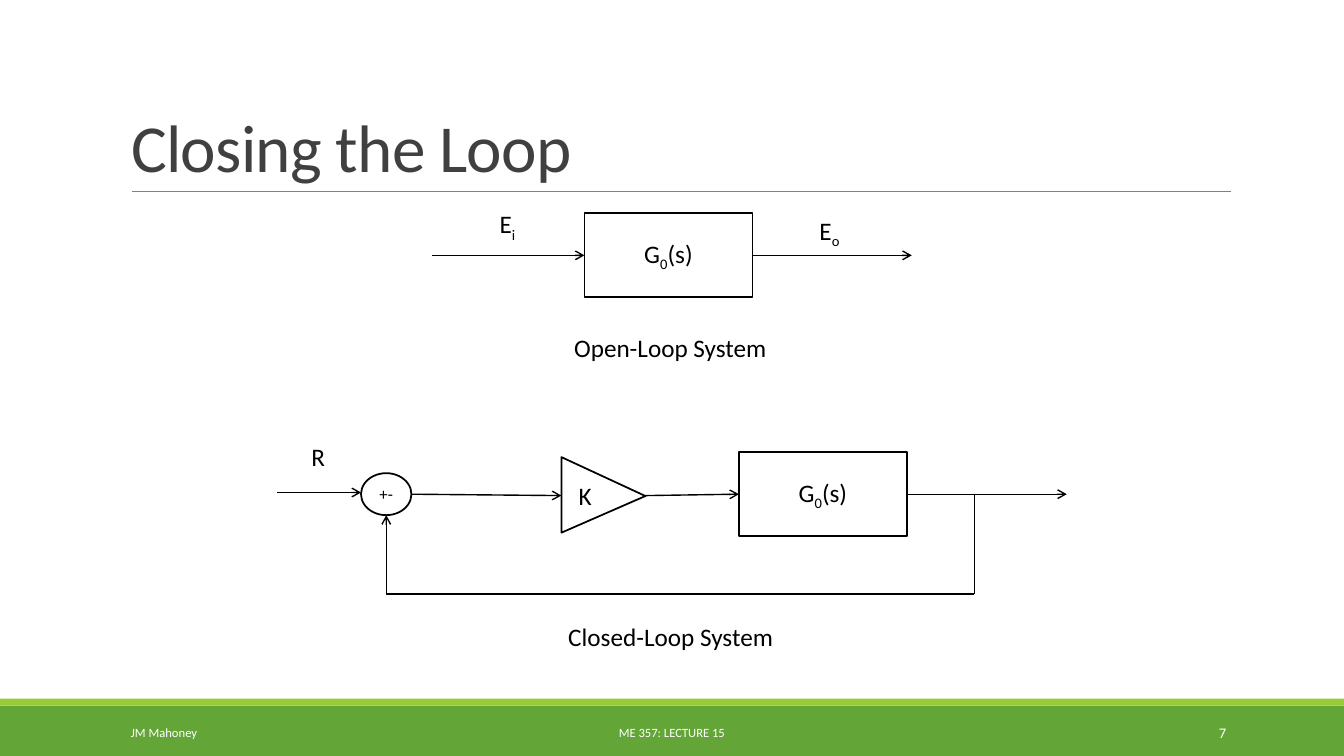
from dataclasses import dataclass

from lxml import etree
from pptx import Presentation
from pptx.dml.color import RGBColor
from pptx.enum.shapes import MSO_CONNECTOR, MSO_SHAPE
from pptx.enum.text import MSO_ANCHOR, MSO_AUTO_SIZE, PP_ALIGN
from pptx.oxml.ns import qn
from pptx.util import Pt

RECT, PROCESS = MSO_SHAPE.RECTANGLE, MSO_SHAPE.FLOWCHART_PROCESS
CIRCLE, GAIN = MSO_SHAPE.FLOWCHART_CONNECTOR, MSO_SHAPE.ISOSCELES_TRIANGLE
STRAIGHT = MSO_CONNECTOR.STRAIGHT
TOP, MIDDLE, BOTTOM = MSO_ANCHOR.TOP, MSO_ANCHOR.MIDDLE, MSO_ANCHOR.BOTTOM
LEFT, CENTER, RIGHT = PP_ALIGN.LEFT, PP_ALIGN.CENTER, PP_ALIGN.RIGHT
NO_FIT = MSO_AUTO_SIZE.NONE


@dataclass(frozen=True)
class Theme:
    font: str = "Calibri"
    ink: str = "000000"
    head: str = "404040"
    rule: str = "808080"
    band: str = "63A537"
    strip: str = "99CB38"
    light: str = "FFFFFF"
    head_size: float = 48
    text_size: float = 18
    sign_size: float = 12
    page_size: float = 10.5
    foot_size: float = 9
    edge: float = 1.25
    wire: float = 1
    hair: float = 0.5


@dataclass(frozen=True)
class Block:
    kind: int
    left: float
    top: float
    width: float
    height: float
    text: str = ""
    size: float = 18
    turn: float = 0


@dataclass(frozen=True)
class Wire:
    x1: float
    y1: float
    x2: float
    y2: float
    arrow: bool = True


@dataclass(frozen=True)
class Label:
    text: str
    left: float
    top: float
    width: float


@dataclass(frozen=True)
class Foot:
    text: str
    left: float
    width: float
    size: float
    align: int


THEME = Theme()
BOX_W, BOX_H = 120, 60
OPEN_X, OPEN_Y = 417.5, 182.4
LOOP_X, LOOP_Y = 527.8, 353
SUM_X, TAP_X, BACK_Y = 275.9, 696, 424.2
FOOT_TOP, LINE_H = 508.5, 29

BLOCKS = [
    Block(PROCESS, OPEN_X, OPEN_Y - BOX_H / 2, BOX_W, BOX_H, "G_0_(s)"),
    Block(PROCESS, LOOP_X, LOOP_Y - BOX_H / 2, BOX_W, BOX_H, "G_0_(s)"),
    Block(CIRCLE, SUM_X - 18, LOOP_Y - 15, 36, 30, "+-", THEME.sign_size),
    Block(GAIN, 404, 323.5, 54, 60, turn=90),
]
WIRES = [
    Wire(308.7, OPEN_Y, OPEN_X, OPEN_Y),
    Wire(OPEN_X + BOX_W, OPEN_Y, 651.3, OPEN_Y),
    Wire(198, 351.8, SUM_X - 18, 351.8),
    Wire(SUM_X + 18, LOOP_Y, 401, 354),
    Wire(461, 354, LOOP_X, LOOP_Y),
    Wire(LOOP_X + BOX_W, LOOP_Y, 762, LOOP_Y),
    Wire(TAP_X, BACK_Y, TAP_X, LOOP_Y, False),
    Wire(SUM_X, BACK_Y, TAP_X, BACK_Y, False),
    Wire(SUM_X, BACK_Y, SUM_X, LOOP_Y + 15),
]
LABELS = [
    Label("E_i", 349.7, 145.4, 26.8),
    Label("E_o", 578.3, 150.2, 29.2),
    Label("Open-Loop System", 403, 233.8, 153.5),
    Label("R", 215.3, 311.6, 24.4),
    Label("K", 406.2, 339.3, 23.9),
    Label("Closed-Loop System", 398.8, 440.3, 162.4),
]
FEET = [
    Foot("JM Mahoney", 86.4, 194.6, THEME.foot_size, LEFT),
    Foot("ME 357: LECTURE 15", 290.3, 379.2, THEME.foot_size, CENTER),
    Foot("7", 779.7, 103.3, THEME.page_size, RIGHT),
]


def put(item, **values) -> None:
    for name, value in values.items():
        setattr(item, name, value)


def tint(code: str) -> RGBColor:
    return RGBColor.from_string(code)


def write(frame, text: str, size: float, color: str, align=LEFT,
          anchor=TOP, wrap=True):
    """Fill a frame; odd pieces between underscores are subscripts."""
    put(frame, vertical_anchor=anchor, word_wrap=wrap, auto_size=NO_FIT)
    para = frame.paragraphs[0]
    para.alignment = align
    for index, piece in enumerate(text.split("_")):
        run = para.add_run()
        run.text = piece
        put(run.font, name=THEME.font, size=Pt(size))
        run.font.color.rgb = tint(color)
        if index % 2:
            run.font._element.set("baseline", "-25000")
    return para


def draw_band(slide, top: float, height: float, color: str) -> None:
    band = slide.shapes.add_shape(RECT, 0, Pt(top), Pt(960), Pt(height))
    band.shadow.inherit = False
    band.fill.solid()
    band.fill.fore_color.rgb = tint(color)
    band.line.fill.background()


def draw_block(slide, block: Block) -> None:
    shape = slide.shapes.add_shape(block.kind, Pt(block.left), Pt(block.top),
                                   Pt(block.width), Pt(block.height))
    shape.shadow.inherit = False
    shape.fill.background()
    shape.line.color.rgb = tint(THEME.ink)
    put(shape.line, width=Pt(THEME.edge))
    shape.rotation = block.turn
    if block.kind == GAIN:
        shape.adjustments[0] = 0.515
    if block.text:
        write(shape.text_frame, block.text, block.size, THEME.ink,
              CENTER, MIDDLE, False)


def draw_wire(slide, wire: Wire, color: str, width: float) -> None:
    line = slide.shapes.add_connector(STRAIGHT, Pt(wire.x1), Pt(wire.y1),
                                      Pt(wire.x2), Pt(wire.y2))
    line.line.color.rgb = tint(color)
    line.line.width = Pt(width)
    props = line._element.spPr
    if wire.arrow:
        etree.SubElement(props.find(qn("a:ln")), qn("a:tailEnd"), type="arrow")
    etree.SubElement(props, qn("a:effectLst"))


def add_frame(slide, left: float, top: float, width: float):
    return slide.shapes.add_textbox(Pt(left), Pt(top), Pt(width),
                                    Pt(LINE_H)).text_frame


def set_title(slide, text: str) -> None:
    title = slide.shapes.title
    put(title, left=Pt(86.4), top=Pt(22.5), width=Pt(792), height=Pt(114.3))
    para = write(title.text_frame, text, THEME.head_size, THEME.head,
                 LEFT, BOTTOM)
    para.line_spacing = 0.85
    para.runs[0].font._element.set("spc", "-50")


def main() -> None:
    deck = Presentation()
    put(deck, slide_width=Pt(960), slide_height=Pt(540))
    slide = deck.slides.add_slide(deck.slide_layouts[5])
    draw_band(slide, 504, 36, THEME.band)
    draw_band(slide, 499, 5, THEME.strip)
    draw_wire(slide, Wire(94, 136.8, 879, 136.8, False), THEME.rule, THEME.hair)
    set_title(slide, "Closing the Loop")
    for block in BLOCKS:
        draw_block(slide, block)
    for wire in WIRES:
        draw_wire(slide, wire, THEME.ink, THEME.wire)
    for label in LABELS:
        frame = add_frame(slide, label.left, label.top, label.width)
        write(frame, label.text, THEME.text_size, THEME.ink, wrap=False)
    for foot in FEET:
        frame = add_frame(slide, foot.left, FOOT_TOP, foot.width)
        write(frame, foot.text, foot.size, THEME.light, foot.align, MIDDLE)
    deck.save("out.pptx")


if __name__ == "__main__":
    main()
